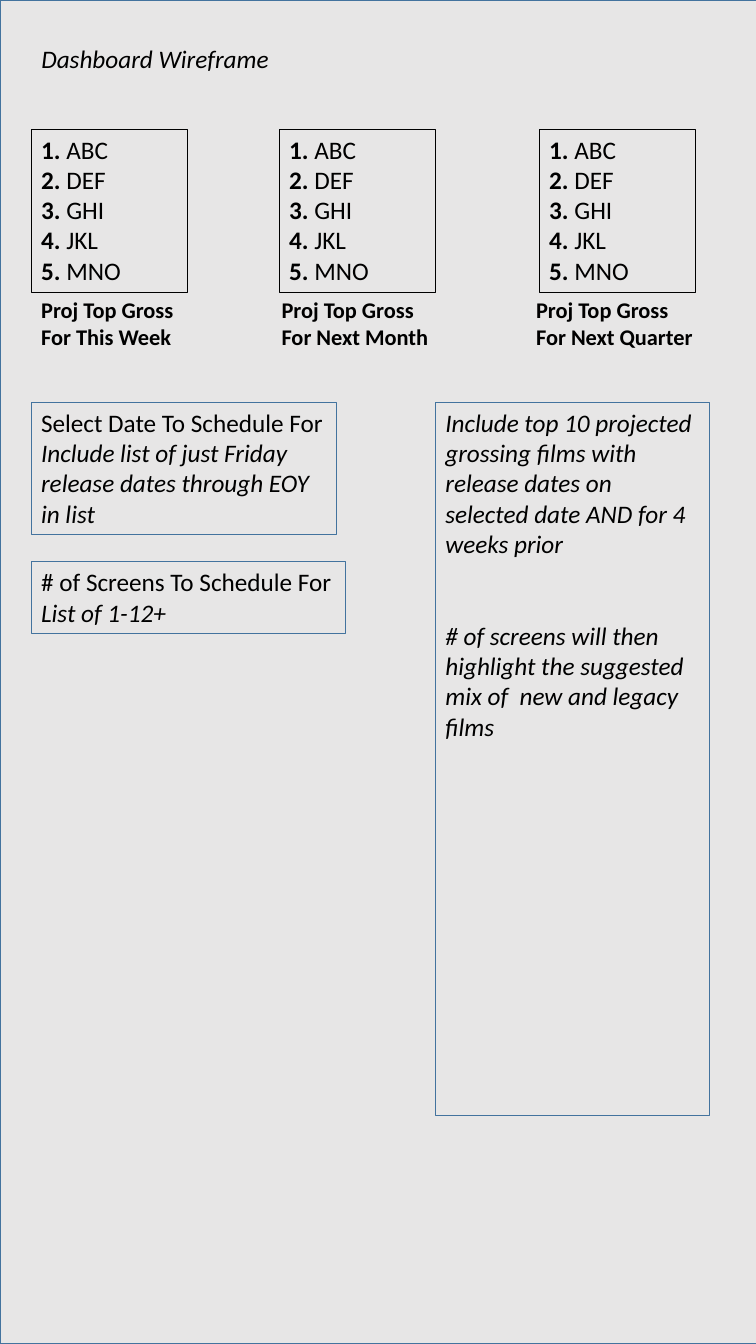
"""Build the dashboard wireframe slide."""
from pptx import Presentation
from pptx.dml.color import RGBColor
from pptx.enum.shapes import MSO_SHAPE as Shape
from pptx.enum.text import MSO_ANCHOR as Anchor, MSO_AUTO_SIZE as AutoSize, PP_ALIGN as Align
from pptx.util import Inches, Pt

THEME = {
    "font": "Calibri",
    "text": RGBColor.from_string("000000"),
    "panel": RGBColor.from_string("E7E6E6"),
    "border": RGBColor.from_string("43739E"),
    "body_size": Pt(18),
    "caption_size": Pt(16),
    "panel_line": Pt(1),
    "box_line": Pt(0.75),
    "section_gap": Pt(44),
}
PLAIN, BOLD, ITALIC = {}, {"bold": True}, {"italic": True}

SLIDE_SIZE = (7.5, 13.33)
PANEL_AREA = (0, 0, 7.62, 13.33)
TITLE = "Dashboard Wireframe"
TITLE_AREA = (0.31, 0.38, 6.47, 0.4)

FILMS = ["ABC", "DEF", "GHI", "JKL", "MNO"]
RANKING_TOP, RANKING_WIDTH, RANKING_HEIGHT = 1.28, 1.55, 1.62
CAPTION_TOP, CAPTION_HEIGHT = 2.89, 0.64
RANKINGS = [
    (0.31, 1.55, "Proj Top Gross For This Week"),
    (2.77, 1.7, "Proj Top Gross For Next Month"),
    (5.35, 1.81, "Proj Top Gross For Next Quarter"),
]

CONTROLS = [
    ((0.31, 3.99, 3.03, 1.31), [
        [("Select Date To Schedule For", PLAIN)],
        [("Include list of just Friday", ITALIC)],
        [("release dates through EOY", ITALIC)],
        [("in list", ITALIC)],
    ]),
    ((0.31, 5.57, 3.12, 0.71), [
        [("# of Screens To Schedule For", PLAIN)],
        [("List of 1-12+", ITALIC)],
    ]),
]
RESULTS_AREA = (4.32, 3.99, 2.72, 7.07)
RESULTS = [
    [("Include top 10 projected grossing films with release dates on "
      "selected date AND for 4 weeks prior", ITALIC)],
    [("# of screens will then highlight the suggested mix of  new and legacy films", ITALIC)],
]


def apply(target, values):
    for name, value in values.items():
        setattr(target, name, value)


def place(shape, area):
    apply(shape, dict(zip(("left", "top", "width", "height"), map(Inches, area))))


def write(shape, paragraphs, size=THEME["body_size"], wrap=True, gap=0):
    frame = shape.text_frame
    apply(frame, {"word_wrap": wrap, "auto_size": AutoSize.SHAPE_TO_FIT_TEXT,
                  "vertical_anchor": Anchor.TOP})
    for index, runs in enumerate(paragraphs):
        paragraph = frame.add_paragraph() if index else frame.paragraphs[0]
        paragraph.alignment = Align.LEFT
        if index and gap:
            paragraph.space_before = gap
        for text, style in runs:
            run = paragraph.add_run()
            run.text = text
            apply(run.font, {"name": THEME["font"], "size": size, **style})
            run.font.color.rgb = THEME["text"]


def outline(shape, color, width):
    shape.line.color.rgb = color
    shape.line.width = width


def add_text(slide, area, paragraphs, border=None, **options):
    box = slide.shapes.add_textbox(*map(Inches, area))
    write(box, paragraphs, **options)
    if border is not None:
        outline(box, border, THEME["box_line"])


def add_panel(slide):
    panel = slide.shapes.add_shape(Shape.RECTANGLE, *map(Inches, PANEL_AREA))
    panel.shadow.inherit = False
    panel.fill.solid()
    panel.fill.fore_color.rgb = THEME["panel"]
    outline(panel, THEME["border"], THEME["panel_line"])
    slide.shapes.title.element.addprevious(panel.element)


def add_ranking(slide, left, caption_width, caption):
    films = [[(f"{rank}. ", BOLD), (film, PLAIN)] for rank, film in enumerate(FILMS, 1)]
    add_text(slide, (left, RANKING_TOP, RANKING_WIDTH, RANKING_HEIGHT), films, THEME["text"])
    caption_left = left + (RANKING_WIDTH - caption_width) / 2
    add_text(slide, (caption_left, CAPTION_TOP, caption_width, CAPTION_HEIGHT),
             [[(caption, BOLD)]], size=THEME["caption_size"])


def main():
    presentation = Presentation()
    apply(presentation, dict(zip(("slide_width", "slide_height"), map(Inches, SLIDE_SIZE))))
    slide = presentation.slides.add_slide(presentation.slide_layouts[5])
    add_panel(slide)
    place(slide.shapes.title, TITLE_AREA)
    write(slide.shapes.title, [[(TITLE, ITALIC)]])
    for ranking in RANKINGS:
        add_ranking(slide, *ranking)
    for area, paragraphs in CONTROLS:
        add_text(slide, area, paragraphs, THEME["border"], wrap=False)
    add_text(slide, RESULTS_AREA, RESULTS, THEME["border"], gap=THEME["section_gap"])
    presentation.save("out.pptx")


if __name__ == "__main__":
    main()
